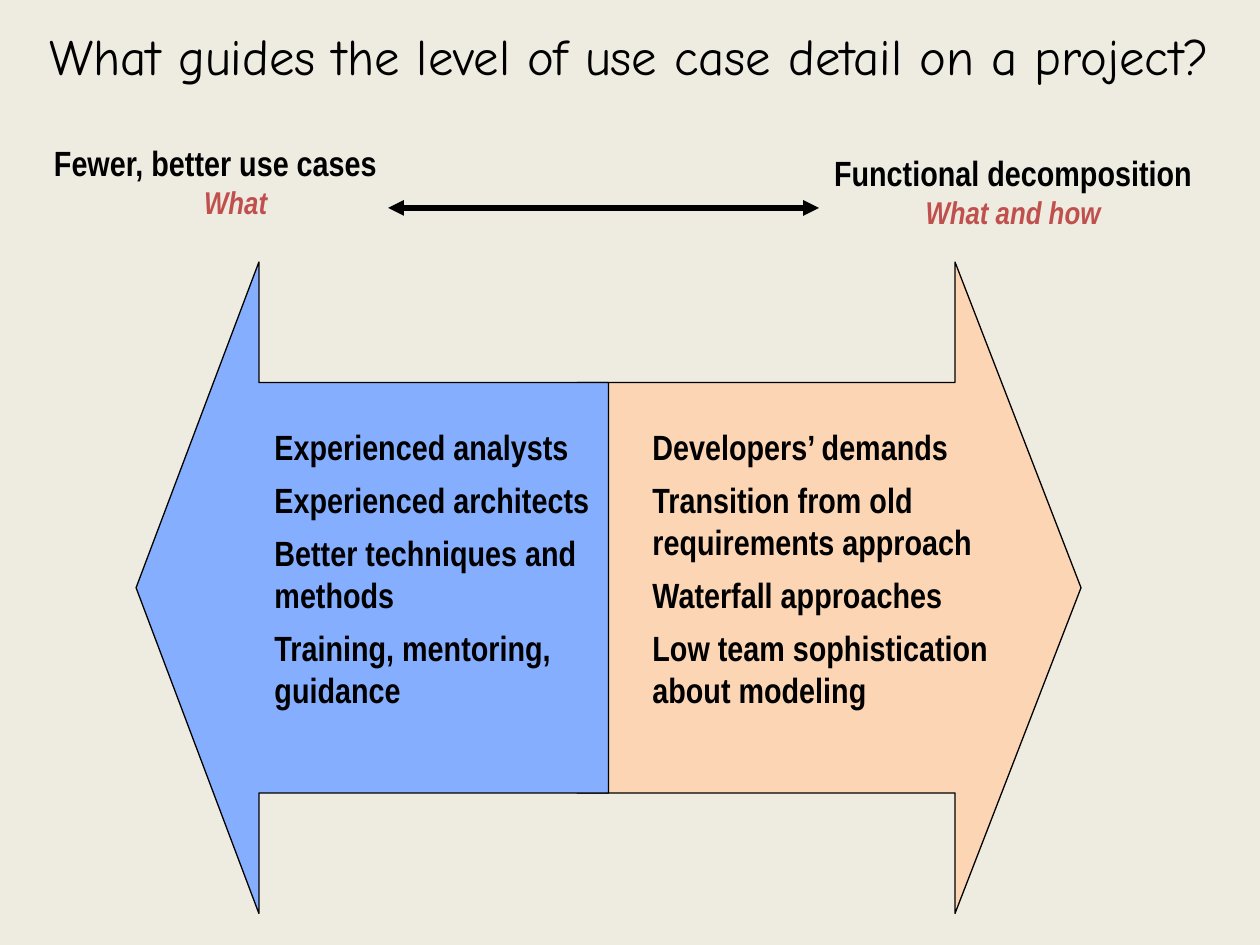
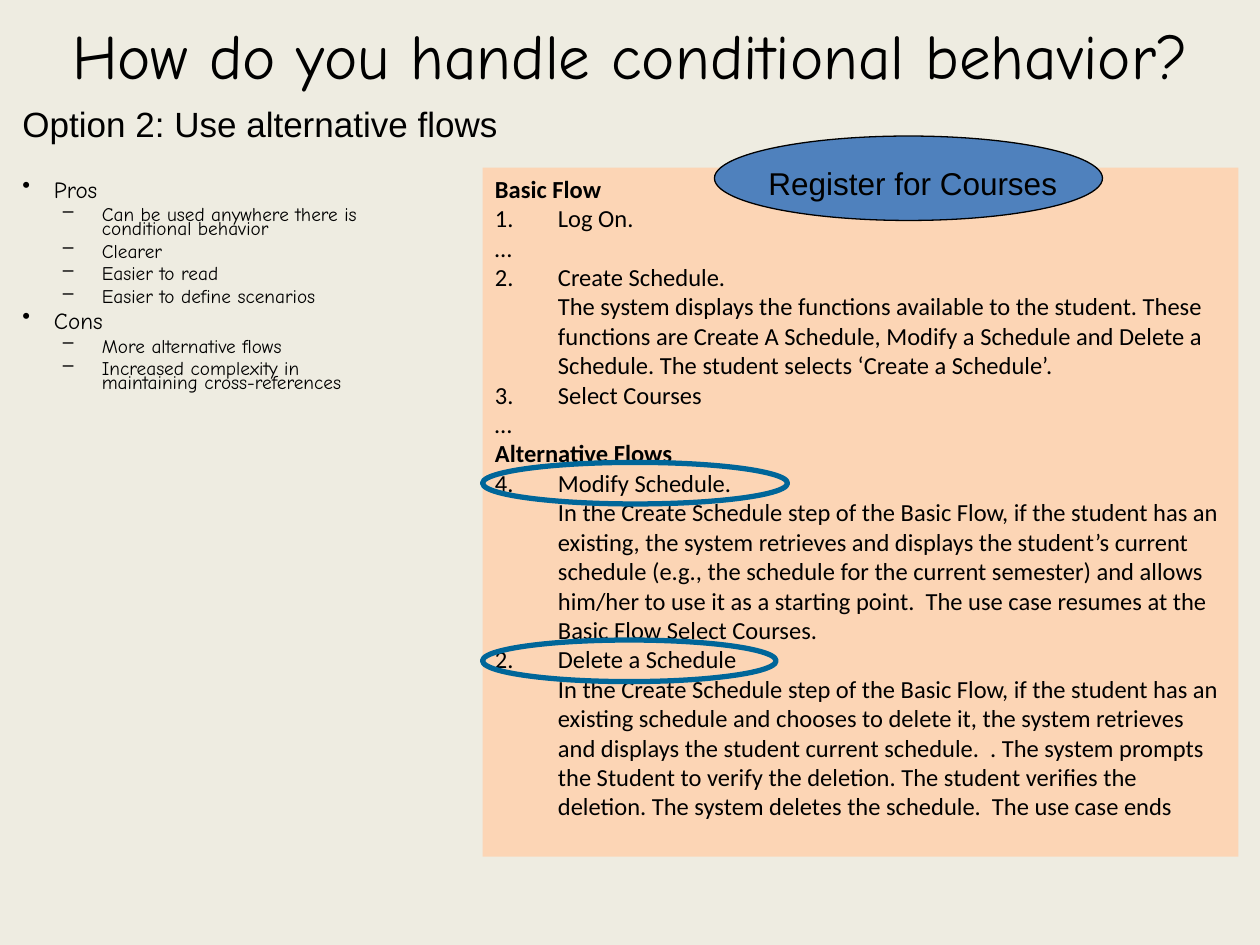
"""Builds two slides on use case detail and conditional behavior."""
from lxml import etree
from pptx import Presentation
from pptx.dml.color import RGBColor
from pptx.enum.shapes import MSO_CONNECTOR as CONN, MSO_SHAPE as SHAPE
from pptx.enum.text import MSO_ANCHOR as ANCHOR, PP_ALIGN as ALIGN
from pptx.oxml.ns import qn
from pptx.util import Inches, Pt

BLACK = RGBColor(0x00, 0x00, 0x00)
CREAM = RGBColor(0xEE, 0xEC, 0xE1)
PEACH = RGBColor(0xFC, 0xD5, 0xB5)
SKY = RGBColor(0x85, 0xAE, 0xFF)
BLUE = RGBColor(0x4F, 0x81, 0xBD)
TEAL = RGBColor(0x00, 0x66, 0x99)
RED = RGBColor(0xC0, 0x50, 0x4D)
HEAD, NARROW, SANS, BODY = "Comic Neue", "Arial Narrow", "Arial", "Calibri"


def add_text(tf, text, size, font, color=BLACK, bold=False, italic=False, align=ALIGN.LEFT,
             before=0, spacing=None, left=0, hang=0, bullet=None, number=None):
    first = not tf.paragraphs[0].runs
    p = tf.paragraphs[0] if first else tf.add_paragraph()
    pPr = p._p.get_or_add_pPr()
    pPr.set("marL", str(Inches(left)))
    pPr.set("indent", str(-Inches(hang)))
    if bullet:
        etree.SubElement(pPr, qn("a:buChar"), char=bullet)
    elif number:
        etree.SubElement(pPr, qn("a:buAutoNum"), type="arabicPeriod", startAt=str(number))
    else:
        etree.SubElement(pPr, qn("a:buNone"))
    p.alignment = align
    p.space_before = Pt(0 if first else before)
    if spacing:
        p.line_spacing = spacing
    r = p.add_run()
    r.text = text
    r.font.size, r.font.name = Pt(size), font
    r.font.bold, r.font.italic = bold, italic
    r.font.color.rgb = color


def add_box(shapes, box, kind=None, fill=None, line=None, width=0.75):
    box = [Inches(v) for v in box]
    sp = shapes.add_shape(kind, *box) if kind else shapes.add_textbox(*box)
    if kind:
        sp.shadow.inherit = False
        if fill:
            sp.fill.solid()
            sp.fill.fore_color.rgb = fill
        else:
            sp.fill.background()
        if line:
            sp.line.color.rgb = line
            sp.line.width = Pt(width)
        else:
            sp.line.fill.background()
    sp.text_frame.word_wrap = True
    sp.text_frame.vertical_anchor = ANCHOR.TOP
    return sp


prs = Presentation()
prs.slide_width, prs.slide_height = Inches(10), Inches(7.5)

slides = []
for title, size in [("What guides the level of use case detail on a project?", 29),
                    ("How do you handle conditional behavior?", 36)]:
    s = prs.slides.add_slide(prs.slide_layouts[6])
    s.background.fill.solid()
    s.background.fill.fore_color.rgb = CREAM
    tf = add_box(s.shapes, (0, 0, 10, 0.87)).text_frame
    tf.vertical_anchor = ANCHOR.MIDDLE
    add_text(tf, title, size, HEAD, align=ALIGN.CENTER)
    slides.append(s)
s1, s2 = slides

for kind, box, head, fill in [(SHAPE.RIGHT_ARROW, (4.58, 2.08, 4, 5.17), 0.25, PEACH),
                              (SHAPE.LEFT_ARROW, (1.08, 2.08, 3.75, 5.17), 0.26, SKY)]:
    sp = add_box(s1.shapes, box, kind, fill, BLACK)
    sp.adjustments[0], sp.adjustments[1] = 0.63, head

for x, width, reasons in [
    (5.08, 3.33, ["Developers’ demands", "Transition from old requirements approach",
                  "Waterfall approaches", "Low team sophistication about modeling"]),
    (2.08, 2.75, ["Experienced analysts", "Experienced architects",
                  "Better techniques and methods", "Training, mentoring, guidance"]),
]:
    tf = add_box(s1.shapes, (x, 3.33, width, 3.38)).text_frame
    for reason in reasons:
        add_text(tf, reason, 20, NARROW, bold=True, before=6.2)

for box, label, align, focus in [
    ((0.33, 1.07, 3.08, 0.74), "Fewer, better use cases", ALIGN.LEFT, "What"),
    ((6.33, 1.15, 3.42, 0.74), "Functional decomposition", ALIGN.CENTER, "What and how"),
]:
    tf = add_box(s1.shapes, box).text_frame
    add_text(tf, label, 20, NARROW, bold=True, align=align)
    add_text(tf, focus, 18, NARROW, RED, bold=True, italic=True, align=ALIGN.CENTER)

ln = s1.shapes.add_connector(CONN.STRAIGHT, Inches(3.08), Inches(1.65), Inches(6.5), Inches(1.65))
ln.line.color.rgb = BLACK
ln.line.width = Pt(3)
for end in ("a:headEnd", "a:tailEnd"):
    etree.SubElement(ln.line._get_or_add_ln(), qn(end), type="triangle")
etree.SubElement(ln._element.spPr, qn("a:effectLst"))

tf = add_box(s2.shapes, (0.08, 1.42, 3.17, 1.86)).text_frame
for heading, points in [
    ("Pros", ["Can be used anywhere there is conditional behavior", "Clearer",
              "Easier to read", "Easier to define scenarios"]),
    ("Cons", ["More alternative flows", "Increased complexity in maintaining cross-references"]),
]:
    add_text(tf, heading, 13.2, HEAD, before=6, spacing=0.6, left=0.25, hang=0.25, bullet="•")
    for point in points:
        add_text(tf, point, 11, HEAD, before=5, spacing=0.6, left=0.63, hang=0.31, bullet="–")

tf = add_box(s2.shapes, (0.08, 0.83, 9.25, 0.42)).text_frame
add_text(tf, "Option 2: Use alternative flows", 20, SANS, spacing=0.8, left=0.25, hang=0.25)

HEADING = dict(bold=True)
STEP = dict(left=0.5, hang=0.5)
DETAIL = dict(left=0.5)
tf = add_box(s2.shapes, (3.83, 1.33, 6, 5.47), SHAPE.RECTANGLE, PEACH).text_frame
for text, fmt in [
    ("Basic Flow", HEADING),
    ("Log On.", dict(STEP, number=1)),
    ("…", {}),
    ("Create Schedule.", dict(STEP, number=2)),
    ("The system displays the functions available to the student. These functions are "
     "Create A Schedule, Modify a Schedule and Delete a Schedule. "
     "The student selects ‘Create a Schedule’.", DETAIL),
    ("Select Courses", dict(STEP, number=3)),
    ("…", {}),
    ("Alternative Flows", HEADING),
    ("Modify Schedule.", dict(STEP, number=1)),
    ("In the Create Schedule step of the Basic Flow, if the student has an existing, the system "
     "retrieves and displays the student’s current schedule (e.g., the schedule for the current "
     "semester) and allows him/her to use it as a starting point.  "
     "The use case resumes at the Basic Flow Select Courses.", DETAIL),
    ("Delete a Schedule", dict(STEP, number=2)),
    ("In the Create Schedule step of the Basic Flow, if the student has an existing schedule and "
     "chooses to delete it, the system retrieves and displays the student current schedule.  . "
     "The system prompts the Student to verify the deletion. The student verifies the deletion. "
     "The system deletes the schedule.  The use case ends", DETAIL),
]:
    add_text(tf, text, 14, BODY, **fmt)

use_case = s2.shapes.add_group_shape()
add_box(use_case.shapes, (5.67, 1.08, 3.08, 0.67), SHAPE.OVAL, BLUE, BLACK)
tf = add_box(use_case.shapes, (6, 1.25, 2.58, 0.4)).text_frame
add_text(tf, "Register for Courses", 18, SANS)

for y, width in [(3.67, 2.42), (5.08, 2.33)]:
    add_box(s2.shapes, (3.83, y, width, 0.33), SHAPE.OVAL, line=TEAL, width=3)

prs.save("out.pptx")
